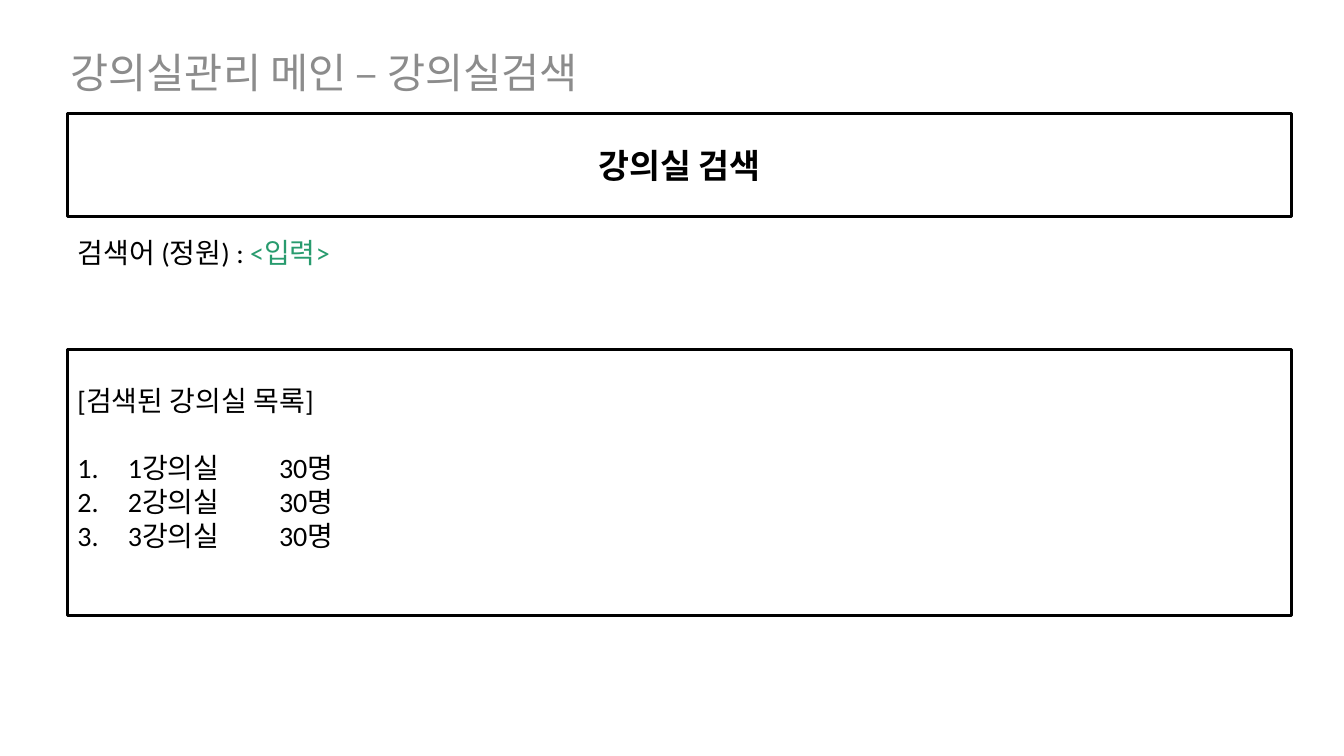
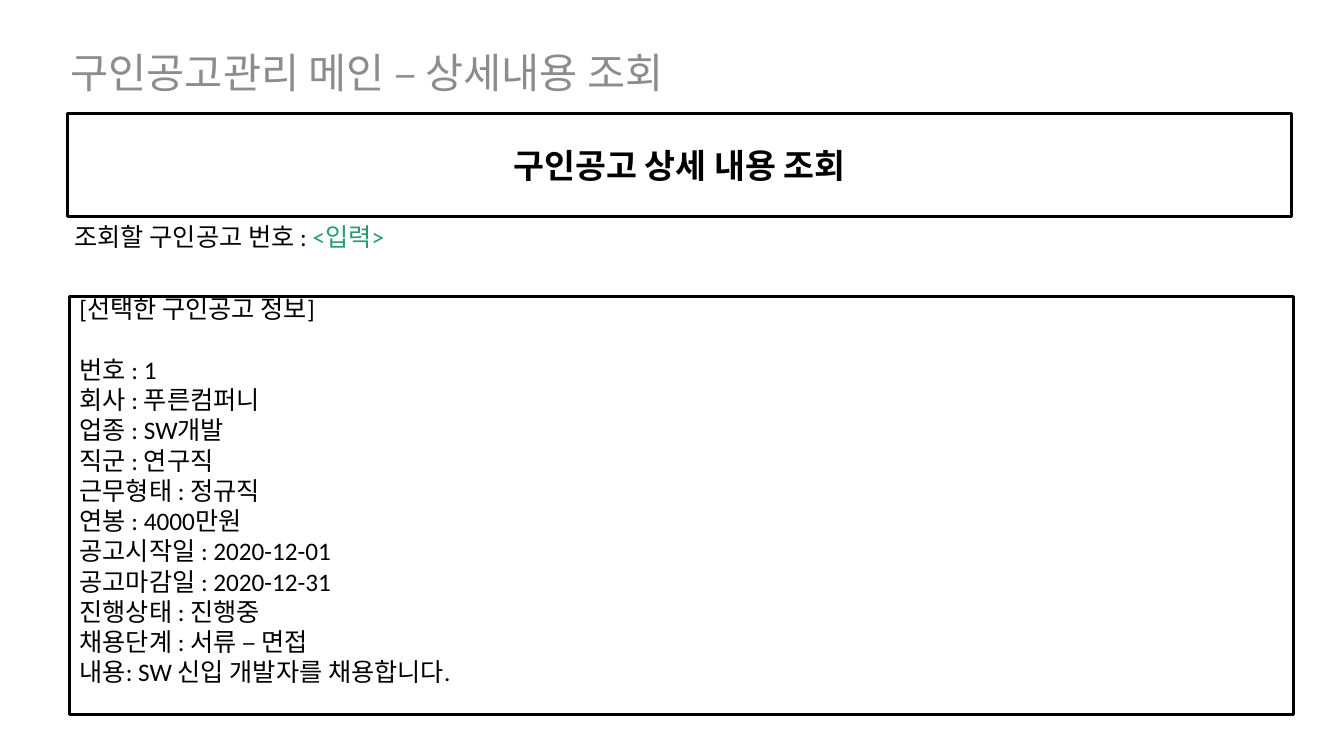
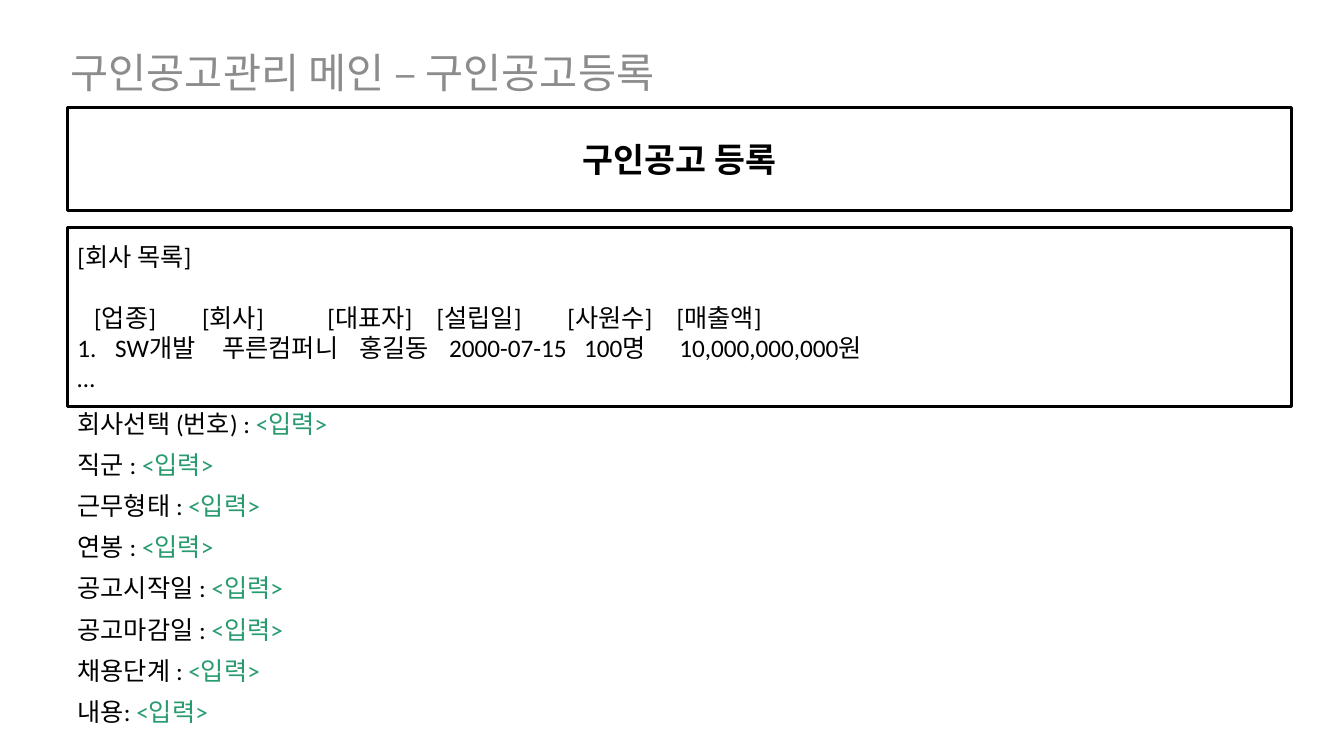
import pptx
import pptx.dml.color
import pptx.enum.shapes
import pptx.enum.text
import pptx.oxml
import pptx.oxml.ns
import pptx.util

Pt = pptx.util.Pt
ANCHOR = pptx.enum.text.MSO_ANCHOR
ALIGN = pptx.enum.text.PP_ALIGN

COLOURS = {"ink": "000000", "title": "8C8C8C", "input": "289B6E"}
FONT = "Calibri"
LINE_HEIGHT = 1.22
LEFT, WIDTH = 48.24, 874.08
TITLE_BOX = (43.2, 30.24, WIDTH, 36.72)
BANNER_HEIGHT = 73.44
INPUT = "<입력>"


def colour(name):
    return pptx.dml.color.RGBColor.from_string(COLOURS[name])


def style(font, size, name="ink", bold=False):
    font.name = FONT
    font.size = Pt(size)
    font.bold = bold
    font.color.rgb = colour(name)


def place(shape, box):
    shape.left, shape.top, shape.width, shape.height = map(Pt, box)


def add_property(para, tag, **attributes):
    element = pptx.oxml.parse_xml(f"<a:{tag} {pptx.oxml.ns.nsdecls('a')}/>")
    for key, value in attributes.items():
        element.set(key, str(value))
    para._p.get_or_add_pPr().append(element)
    return element


def set_indent(para, margin, first):
    properties = para._p.get_or_add_pPr()
    properties.set("marL", str(Pt(margin)))
    properties.set("indent", str(Pt(first)))


def set_tabs(para, stops):
    tabs = add_property(para, "tabLst")
    for stop in stops:
        tab = pptx.oxml.parse_xml(f"<a:tab {pptx.oxml.ns.nsdecls('a')}/>")
        tab.set("pos", str(Pt(stop)))
        tab.set("algn", "l")
        tabs.append(tab)


def add_paragraphs(frame, texts):
    for index, text in enumerate(texts):
        para = frame.add_paragraph() if index else frame.paragraphs[0]
        para.text = text
        yield para


def add_title(page, text):
    title = page.shapes.title
    place(title, TITLE_BOX)
    frame = title.text_frame
    frame.auto_size = pptx.enum.text.MSO_AUTO_SIZE.NONE
    frame.vertical_anchor = ANCHOR.TOP
    frame.text = text
    para = frame.paragraphs[0]
    para.alignment = ALIGN.LEFT
    para.space_before = Pt(0)
    style(para.font, 29.6, "title")


def add_frame(page, box):
    shape = page.shapes.add_shape(
        pptx.enum.shapes.MSO_SHAPE.RECTANGLE, *map(Pt, box))
    shape.shadow.inherit = False
    shape.fill.background()
    shape.line.color.rgb = colour("ink")
    shape.line.width = Pt(2.25)
    shape.text_frame.word_wrap = True
    shape.text_frame.vertical_anchor = ANCHOR.MIDDLE
    return shape.text_frame


def add_banner(page, top, text):
    frame = add_frame(page, (LEFT, top, WIDTH, BANNER_HEIGHT))
    para = next(add_paragraphs(frame, [text]))
    para.alignment = ALIGN.CENTER
    style(para.font, 24, bold=True)


def add_panel(page, box, size, lines, number_indent=0, numbered=(), tabs=None,
              space_below=0):
    frame = add_frame(page, box)
    frame.margin_bottom = Pt(3.6 + space_below)
    for index, para in enumerate(add_paragraphs(frame, lines)):
        para.alignment = ALIGN.LEFT
        if index == 0:
            para.space_after = Pt(round(size * LINE_HEIGHT, 2))
        if index in numbered:
            set_indent(para, number_indent, -number_indent)
            add_property(para, "buFont", typeface="+mj-lt")
            add_property(para, "buAutoNum", type="arabicPeriod")
        if tabs and index in tabs:
            set_tabs(para, tabs[index])
        style(para.font, size)


def add_prompts(page, box, size, labels):
    body = page.placeholders[1]
    place(body, box)
    frame = body.text_frame
    frame.auto_size = pptx.enum.text.MSO_AUTO_SIZE.NONE
    for index, para in enumerate(add_paragraphs(frame, labels)):
        set_indent(para, 0, 0)
        para.line_spacing = 0.9
        para.space_before = Pt(10 if index else 0)
        add_property(para, "buNone")
        style(para.font, size)
        span = para.add_run()
        span.text = INPUT
        span.font.color.rgb = colour("input")


def add_page(deck, title, banner, banner_top=81.36):
    page = deck.slides.add_slide(deck.slide_layouts[1])
    add_title(page, title)
    add_banner(page, banner_top, banner)
    return page


def build_room_search(deck):
    page = add_page(deck, "강의실관리 메인 – 강의실검색", "강의실 검색")
    add_prompts(page, (LEFT, 167.04, 850.32, 59.76), 20, ["검색어 (정원) : "])
    rooms = [f"{number}강의실\t30명" for number in range(1, 4)]
    add_panel(page, (LEFT, 249.84, WIDTH, 190.08), 20,
              ["[검색된 강의실 목록]", *rooms],
              number_indent=36, numbered=(1, 2, 3),
              tabs={index: [144] for index in (1, 2, 3)}, space_below=22)


def build_job_details(deck):
    page = add_page(deck, "구인공고관리 메인 – 상세내용 조회",
                    "구인공고 상세 내용 조회")
    add_prompts(page, (46.08, 156.96, 850.32, 59.76), 18,
                ["조회할 구인공고 번호 : "])
    add_panel(page, (49.68, 211.68, WIDTH, 298.8), 18, [
        "[선택한 구인공고 정보]",
        "번호 : 1",
        "회사 : 푸른컴퍼니",
        "업종 : SW개발",
        "직군 : 연구직",
        "근무형태 : 정규직",
        "연봉 : 4000만원",
        "공고시작일 : 2020-12-01",
        "공고마감일 : 2020-12-31",
        "진행상태 : 진행중",
        "채용단계 : 서류 – 면접",
        "내용: SW 신입 개발자를 채용합니다.",
    ], space_below=22)


def build_job_entry(deck):
    page = add_page(deck, "구인공고관리 메인 – 구인공고등록", "구인공고 등록", 77.04)
    add_prompts(page, (LEFT, 290.16, 850.32, 254.16), 18, [
        "회사선택 (번호) : ", "직군 : ", "근무형태 : ", "연봉 : ",
        "공고시작일 : ", "공고마감일 : ", "채용단계 : ", "내용: "])
    headings = ["[업종]", "[회사]", "[대표자]", "[설립일]", "[사원수]", "[매출액]"]
    company = ["SW개발", "푸른컴퍼니", "홍길동", "2000-07-15", "100명",
               "10,000,000,000원"]
    add_panel(page, (LEFT, 162.72, WIDTH, 127.44), 18,
              ["[회사 목록]", "\t" + "\t".join(headings), "\t".join(company), "…"],
              number_indent=27, numbered=(2,),
              tabs={1: [12, 89, 178.5, 256.5, 350, 428],
                    2: [103.5, 201.5, 265.5, 362, 430]})


def main():
    deck = pptx.Presentation()
    deck.slide_width, deck.slide_height = Pt(960), Pt(540)
    build_room_search(deck)
    build_job_details(deck)
    build_job_entry(deck)
    deck.save("out.pptx")


if __name__ == "__main__":
    main()
